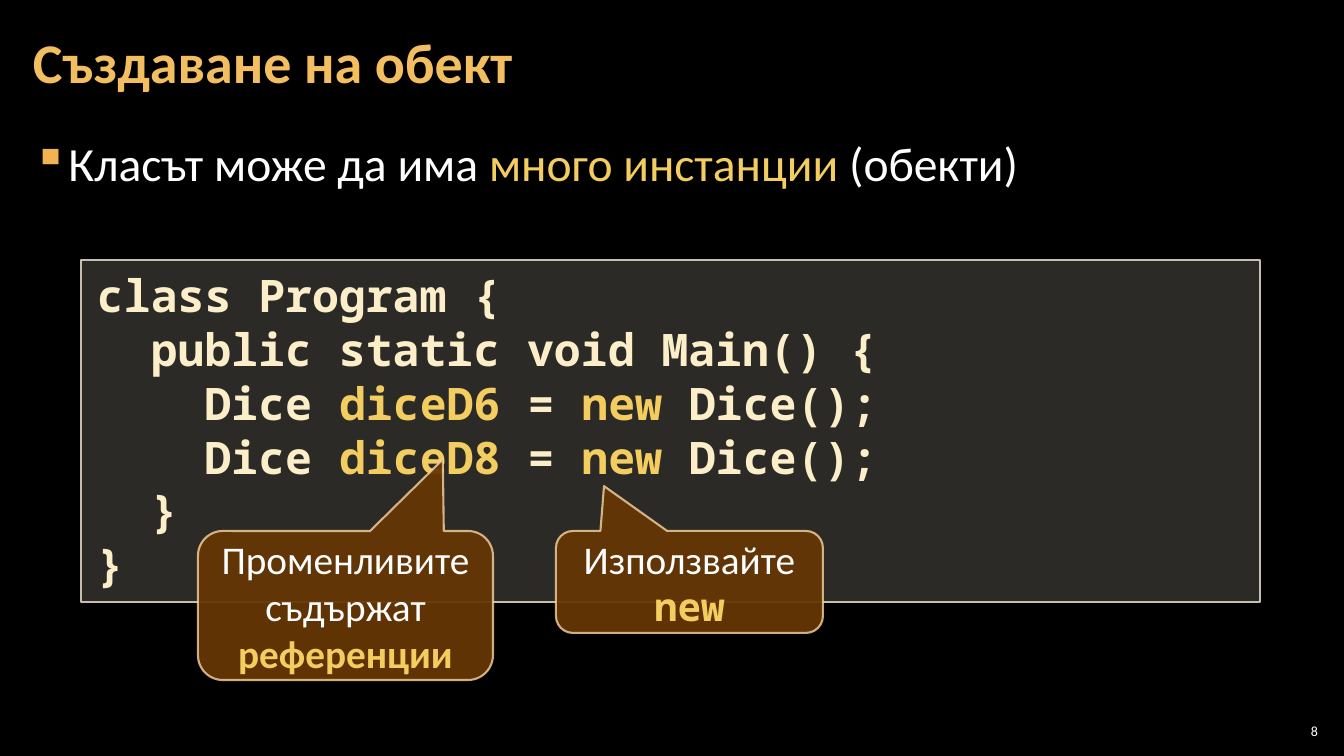
from dataclasses import dataclass

import pptx
import pptx.dml.color
import pptx.enum.shapes
import pptx.enum.text
import pptx.oxml
import pptx.oxml.ns
import pptx.util

PX = 9144000 / 1008  # EMU in one px, at 100.8 px to the inch
ALIGN = pptx.enum.text.PP_ALIGN
ANCHOR = pptx.enum.text.MSO_ANCHOR
SHAPE = pptx.enum.shapes.MSO_SHAPE


@dataclass(frozen=True)
class Theme:
    background: str = "000000"
    white: str = "FFFFFF"
    title: str = "F3BE60"
    accent: str = "F3CD60"
    bullet: str = "F2B254"
    code: str = "FBEEC9"
    panel: str = "D9D5C7"
    panel_line: str = "C7BFAC"
    callout: str = "663606"
    callout_line: str = "F8D49E"
    sans: str = "Calibri"
    mono: str = "Noto Sans Mono"
    title_size: int = 40
    body_size: int = 34
    code_size: int = 32
    callout_size: int = 28
    number_size: int = 10


def px(value):
    return pptx.util.Emu(round(value * PX))


def rgb(value):
    return pptx.dml.color.RGBColor.from_string(value)


def element(tag, **attributes):
    node = pptx.oxml.parse_xml(f"<{tag} {pptx.oxml.ns.nsdecls('a')}/>")
    for name, value in attributes.items():
        node.set(name, str(value))
    return node


class SlideBuilder:
    def __init__(self, presentation, theme):
        self.theme = theme
        self.slide = presentation.slides.add_slide(presentation.slide_layouts[6])
        self.slide.background.fill.solid()
        self.slide.background.fill.fore_color.rgb = rgb(theme.background)

    def style(self, font, size=None, name=None, color=None, bold=None):
        if size:
            font.size = pptx.util.Pt(size)
        if name:
            font.name = name
        if color:
            font.color.rgb = rgb(color)
        if bold is not None:
            font.bold = bold

    def fill_text(self, frame, lines, font, align=ALIGN.LEFT, anchor=ANCHOR.TOP, insets=(10, 5)):
        """Each line is a list of (text, style overrides) pairs."""
        frame.word_wrap = True
        frame.vertical_anchor = anchor
        frame.margin_left = frame.margin_right = px(insets[0])
        frame.margin_top = frame.margin_bottom = px(insets[1])
        for index, line in enumerate(lines):
            paragraph = frame.add_paragraph() if index else frame.paragraphs[0]
            paragraph.alignment = align
            self.style(paragraph.font, **font)
            for text, overrides in line:
                run = paragraph.add_run()
                run.text = text
                self.style(run.font, **overrides)

    def text(self, box, lines, font, **layout):
        frame = self.slide.shapes.add_textbox(*map(px, box)).text_frame
        self.fill_text(frame, lines, font, **layout)
        return frame.paragraphs[0]

    def bullet(self, paragraph, indent):
        properties = paragraph._p.get_or_add_pPr()
        properties.set("marL", str(px(indent)))
        properties.set("indent", str(-px(indent)))
        color = element("a:buClr")
        color.append(element("a:srgbClr", val=self.theme.bullet))
        paragraph_font = properties.find(pptx.oxml.ns.qn("a:defRPr"))
        paragraph_font.addprevious(color)
        paragraph_font.addprevious(element("a:buChar", char="▪"))

    def panel(self, kind, box, fill, opacity, line, width, line_opacity=100):
        shape = self.slide.shapes.add_shape(kind, *map(px, box))
        shape.shadow.inherit = False
        shape.fill.solid()
        shape.fill.fore_color.rgb = rgb(fill)
        shape.line.color.rgb = rgb(line)
        shape.line.width = pptx.util.Pt(width)
        fill_color, line_color = shape._element.spPr.iter(pptx.oxml.ns.qn("a:srgbClr"))
        fill_color.append(element("a:alpha", val=opacity * 1000))
        line_color.append(element("a:alpha", val=line_opacity * 1000))
        return shape

    def code(self, box, lines):
        theme = self.theme
        shape = self.panel(SHAPE.RECTANGLE, box, theme.panel, 20, theme.panel_line, 1)
        font = dict(size=theme.code_size, name=theme.mono, color=theme.code, bold=True)
        self.fill_text(shape.text_frame, lines, font, insets=(16, 8))

    def callout(self, box, tip, line):
        theme = self.theme
        shape = self.panel(SHAPE.ROUNDED_RECTANGULAR_CALLOUT, box, theme.callout, 95,
                           theme.callout_line, 1.5, line_opacity=80)
        shape.adjustments[0], shape.adjustments[1] = tip
        font = dict(size=theme.callout_size, name=theme.sans, color=theme.white)
        self.fill_text(shape.text_frame, [line], font, ALIGN.CENTER, ANCHOR.MIDDLE)


def main():
    presentation = pptx.Presentation()
    presentation.slide_width, presentation.slide_height = px(1344), px(756)
    theme = Theme()
    builder = SlideBuilder(presentation, theme)
    accent = dict(color=theme.accent)

    # Slide number
    builder.text((1275, 720, 47, 21), [[("8", {})]],
                 dict(size=theme.number_size, name=theme.sans, color=theme.white),
                 align=ALIGN.RIGHT, anchor=ANCHOR.MIDDLE, insets=(4, 4))

    # Statement
    statement = builder.text(
        (21, 127, 1301, 614),
        [[("Класът може да има ", {}), ("много инстанции", accent), (" (обекти)", {})]],
        dict(size=theme.body_size, name=theme.sans, color=theme.white), insets=(12, 4))
    statement.line_spacing = 1.05
    statement.space_before = statement.space_after = pptx.util.Pt(6)
    builder.bullet(statement, 33)

    # Title
    title = builder.text(
        (21, 4, 1055, 122), [[("Създаване на обект", {})]],
        dict(size=theme.title_size, name=theme.sans, color=theme.title, bold=True),
        anchor=ANCHOR.MIDDLE, insets=(12, 4))
    title.line_spacing = 0.9

    # Code sample
    creations = [
        [("    Dice ", {}), (variable, accent), (" = ", {}), ("new", accent), (" Dice();", {})]
        for variable in ("diceD6", "diceD8")
    ]
    builder.code((81, 260, 1179, 342), [
        [("class Program {", {})],
        [("  public static void Main() {", {})],
        *creations,
        [("  }", {})],
        [("}", {})],
    ])

    # Explanations
    builder.callout((556, 531, 267, 102), (-0.32, -0.94), [
        ("Използвайте ", {}),
        ("new", dict(name=theme.mono, color=theme.accent, bold=True)),
    ])
    builder.callout((198, 531, 295, 149), (0.33, -0.98), [
        ("Променливите съдържат ", {}),
        ("референции", dict(color=theme.accent, bold=True)),
    ])

    presentation.save("out.pptx")


if __name__ == "__main__":
    main()
